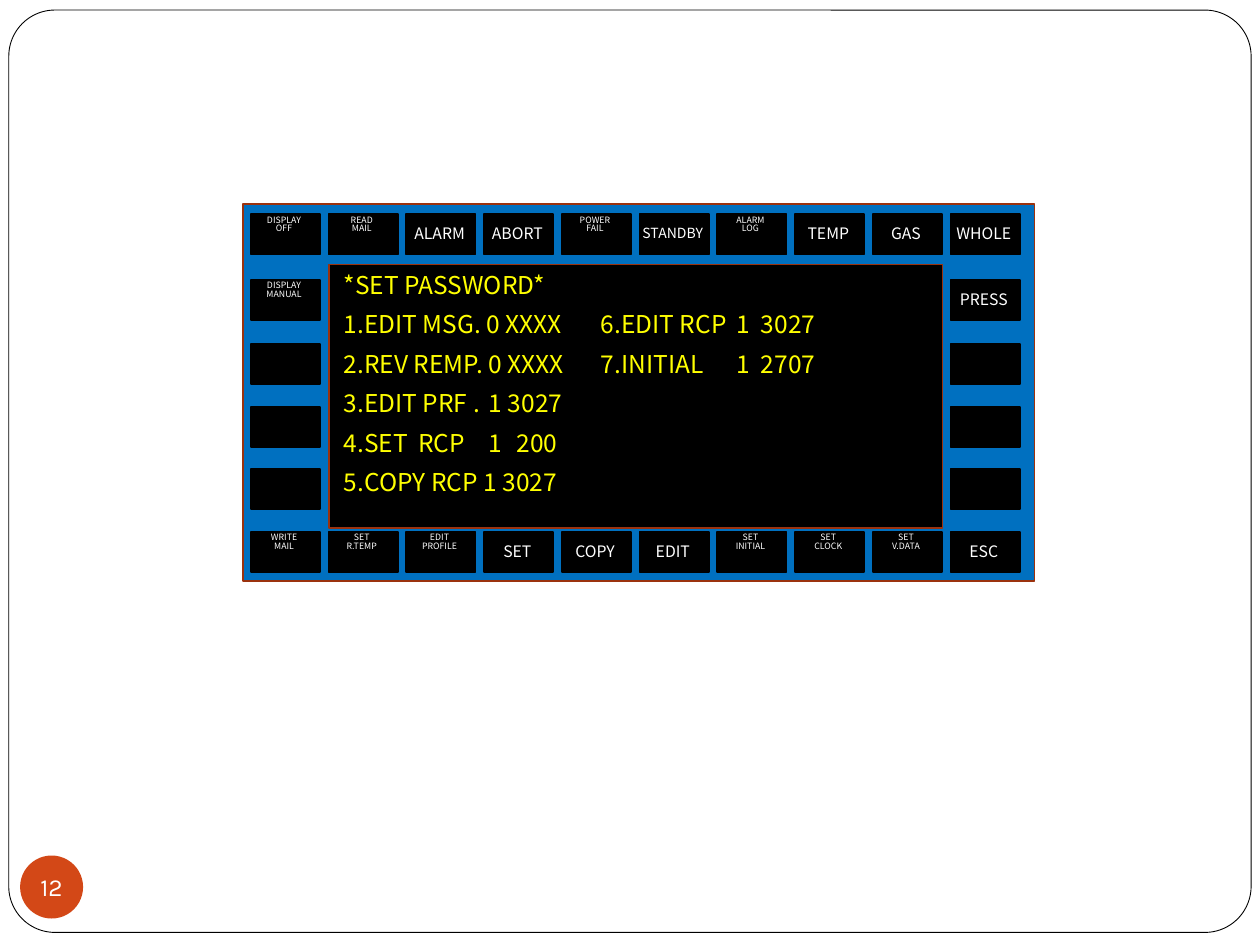
import pptx
import pptx.util
import pptx.dml.color
import pptx.enum.shapes
import pptx.enum.text
import pptx.oxml.ns
import lxml.etree

RGB = pptx.dml.color.RGBColor
WHITE = RGB(0xFF, 0xFF, 0xFF)
BLACK = RGB(0x00, 0x00, 0x00)
ORANGE = RGB(0xD3, 0x48, 0x17)
RUST = RGB(0x9B, 0x32, 0x0E)
BLUE = RGB(0x00, 0x70, 0xC0)
YELLOW = RGB(0xFF, 0xFF, 0x00)
FONT = "Noto Sans CJK SC"
SHAPE = pptx.enum.shapes.MSO_SHAPE
CENTER = pptx.enum.text.PP_ALIGN.CENTER

prs = pptx.Presentation()
prs.slide_width = pptx.util.Inches(10)
prs.slide_height = pptx.util.Inches(7.5)
COL = prs.slide_width / 10
ROW = prs.slide_height / 7.5
s = prs.slides.add_slide(prs.slide_layouts[6])


def add_box(kind, x, y, w, h, fill, line=None, weight=1):
    sp = s.shapes.add_shape(kind, int(x * COL), int(y * ROW), int(w * COL), int(h * ROW))
    sp.shadow.inherit = False
    sp.fill.solid()
    sp.fill.fore_color.rgb = fill
    if line is None:
        sp.line.fill.background()
    else:
        sp.line.color.rgb = line
        sp.line.width = pptx.util.Pt(weight)
    return sp


def write(sp, text, size, color, font=FONT):
    tf = sp.text_frame
    tf.text = text
    for p in tf.paragraphs:
        for r in p.runs:
            r.font.size = pptx.util.Pt(size)
            r.font.name = font
            r.font.color.rgb = color
    return tf


frame = add_box(SHAPE.ROUNDED_RECTANGLE, 0.07, 0.08, 9.86, 7.32, WHITE, BLACK, 0.5)
frame.adjustments[0] = 0.05

badge = add_box(SHAPE.OVAL, 0.16, 6.79, 0.5, 0.5, ORANGE)
tf = write(badge, "12", 14, WHITE, "Karla")
tf.margin_left = tf.margin_right = tf.margin_top = tf.margin_bottom = 0
tf.word_wrap = False
tf.vertical_anchor = pptx.enum.text.MSO_ANCHOR.MIDDLE
tf.paragraphs[0].alignment = CENTER

add_box(SHAPE.RECTANGLE, 1.93, 1.62, 6.28, 2.99, BLUE, RUST)

top_keys = ["DISPLAY\nOFF", "READ\nMAIL", "ALARM", "ABORT", "POWER\nFAIL",
            "STANDBY", "ALARM\nLOG", "TEMP", "GAS", "WHOLE"]
bottom_keys = ["WRITE\nMAIL", "SET\nR.TEMP", "EDIT\nPROFILE", "SET", "COPY",
               "EDIT", "SET\nINITIAL", "SET\nCLOCK", "SET\nV.DATA", "ESC"]
key_rows = [
    (1.7, dict(enumerate(top_keys))),
    (2.22, {0: "DISPLAY\nMANUAL", 9: "PRESS"}),
    (2.73, {0: "", 9: ""}),
    (3.23, {0: "", 9: ""}),
    (3.72, {0: "", 9: ""}),
    (4.22, dict(enumerate(bottom_keys))),
]
key_w, key_h, key_left, key_pitch = 0.55, 0.32, 1.99, 0.617
label_w, label_h = 0.7, 0.28

for key_top, labels in key_rows:
    for i, label in labels.items():
        x = key_left + i * key_pitch
        add_box(SHAPE.RECTANGLE, x, key_top, key_w, key_h, BLACK, BLACK)
        if not label:
            continue
        two_lines = "\n" in label
        size = 5 if two_lines else 8 if len(label) > 6 else 9
        label_x = x + (key_w - label_w) / 2 - 0.01
        label_y = key_top + (-0.03 if two_lines else 0.03)
        sp = s.shapes.add_textbox(int(label_x * COL), int(label_y * ROW),
                                  int(label_w * COL), int(label_h * ROW))
        tf = write(sp, label, size, WHITE)
        tf.word_wrap = False
        for p in tf.paragraphs:
            p.alignment = CENTER
            if two_lines:
                p.line_spacing = 0.8

add_box(SHAPE.RECTANGLE, 2.61, 2.1, 4.87, 2.09, BLACK, RUST)

screen_lines = [
    "*SET PASSWORD*",
    "1.EDIT MSG. 0 XXXX\t6.EDIT RCP\t1\t3027",
    "2.REV REMP. 0 XXXX\t7.INITIAL\t1\t2707",
    "3.EDIT PRF .\t1 3027",
    "4.SET\tRCP\t1\t200",
    "5.COPY RCP 1 3027",
]
tab_stops = [0.59, 1.15, 1.37, 2.04, 3.12, 3.31]
sp = s.shapes.add_textbox(int(2.63 * COL), int(2.09 * ROW), int(4.85 * COL), int(2.07 * ROW))
tf = write(sp, "\n".join(screen_lines), 14, YELLOW)
tf.word_wrap = True
for i, p in enumerate(tf.paragraphs):
    if i:
        p.space_before = pptx.util.Pt(5.8)
    tabs = lxml.etree.SubElement(p._p.get_or_add_pPr(), pptx.oxml.ns.qn("a:tabLst"))
    for stop in tab_stops:
        lxml.etree.SubElement(tabs, pptx.oxml.ns.qn("a:tab"), pos=str(int(stop * COL)), algn="l")

prs.save("out.pptx")
